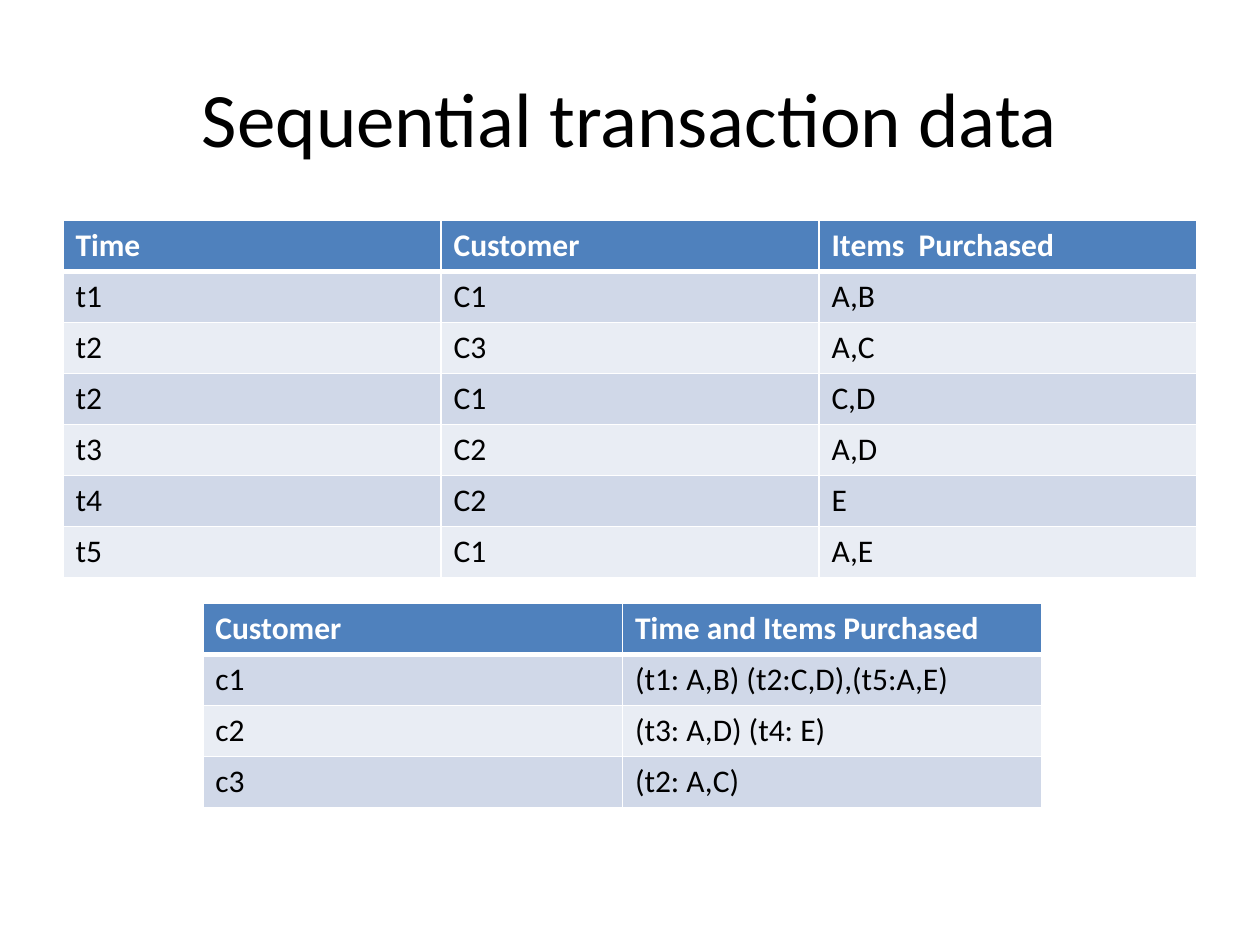
from dataclasses import dataclass

from lxml import etree
from pptx import Presentation
from pptx.dml.color import RGBColor
from pptx.enum.text import MSO_ANCHOR, PP_ALIGN
from pptx.oxml.ns import qn
from pptx.util import Inches, Pt

LEFT, CENTER = PP_ALIGN.LEFT, PP_ALIGN.CENTER
MIDDLE = MSO_ANCHOR.MIDDLE


@dataclass(frozen=True)
class Theme:
    font: str = "Calibri"
    title_size: int = 44
    cell_size: int = 18
    text: str = "000000"
    header_text: str = "FFFFFF"
    header: str = "4F81BD"
    bands: tuple = ("D0D8E8", "E9EDF4")
    border: str = "FFFFFF"
    border_width: int = 1
    header_rule: int = 3


THEME = Theme()
ROW_HEIGHT = 0.405


def write(frame, text, size=THEME.cell_size, color=THEME.text, bold=False, align=LEFT):
    paragraph = frame.paragraphs[0]
    paragraph.alignment = align
    run = paragraph.add_run()
    run.text = text
    run.font.name = THEME.font
    run.font.size = Pt(size)
    run.font.bold = bold
    run.font.color.rgb = RGBColor.from_string(color)


def set_borders(cell, top, bottom):
    properties = cell._tc.get_or_add_tcPr()
    sides = {"L": THEME.border_width, "R": THEME.border_width, "T": top, "B": bottom}
    for side, width in sides.items():
        line = etree.SubElement(properties, qn(f"a:ln{side}"), w=str(Pt(width)))
        fill = etree.SubElement(line, qn("a:solidFill"))
        etree.SubElement(fill, qn("a:srgbClr"), val=THEME.border)


prs = Presentation()
prs.slide_width, prs.slide_height = Inches(10), Inches(7.5)
slide = prs.slides.add_slide(prs.slide_layouts[6])

# Title
title = slide.shapes.add_textbox(Inches(0.5), Inches(0.3), Inches(9), Inches(1.25)).text_frame
title.word_wrap = True
title.vertical_anchor = MIDDLE
write(title, "Sequential transaction data", size=THEME.title_size, align=CENTER)

# Table contents: left, top, width, rows with the header first
transactions = [
    ("Time", "Customer", "Items  Purchased"),
    ("t1", "C1", "A,B"),
    ("t2", "C3", "A,C"),
    ("t2", "C1", "C,D"),
    ("t3", "C2", "A,D"),
    ("t4", "C2", "E"),
    ("t5", "C1", "A,E"),
]
customer_sequences = [
    ("Customer", "Time and Items Purchased"),
    ("c1", "(t1: A,B) (t2:C,D),(t5:A,E)"),
    ("c2", "(t3: A,D) (t4: E)"),
    ("c3", "(t2: A,C)"),
]

# Both tables: header row, then alternating bands
for left, top, width, rows in (
    (0.5, 1.75, 9, transactions),
    (1.61, 4.79, 6.66, customer_sequences),
):
    table = slide.shapes.add_table(
        len(rows), len(rows[0]), Inches(left), Inches(top),
        Inches(width), Inches(ROW_HEIGHT * len(rows)),
    ).table
    for r, values in enumerate(rows):
        is_header = r == 0
        background = THEME.header if is_header else THEME.bands[(r - 1) % 2]
        above = THEME.header_rule if r == 1 else THEME.border_width
        below = THEME.header_rule if is_header else THEME.border_width
        for c, value in enumerate(values):
            cell = table.cell(r, c)
            set_borders(cell, above, below)
            cell.fill.solid()
            cell.fill.fore_color.rgb = RGBColor.from_string(background)
            write(cell.text_frame, value, bold=is_header,
                  color=THEME.header_text if is_header else THEME.text)

prs.save("out.pptx")
